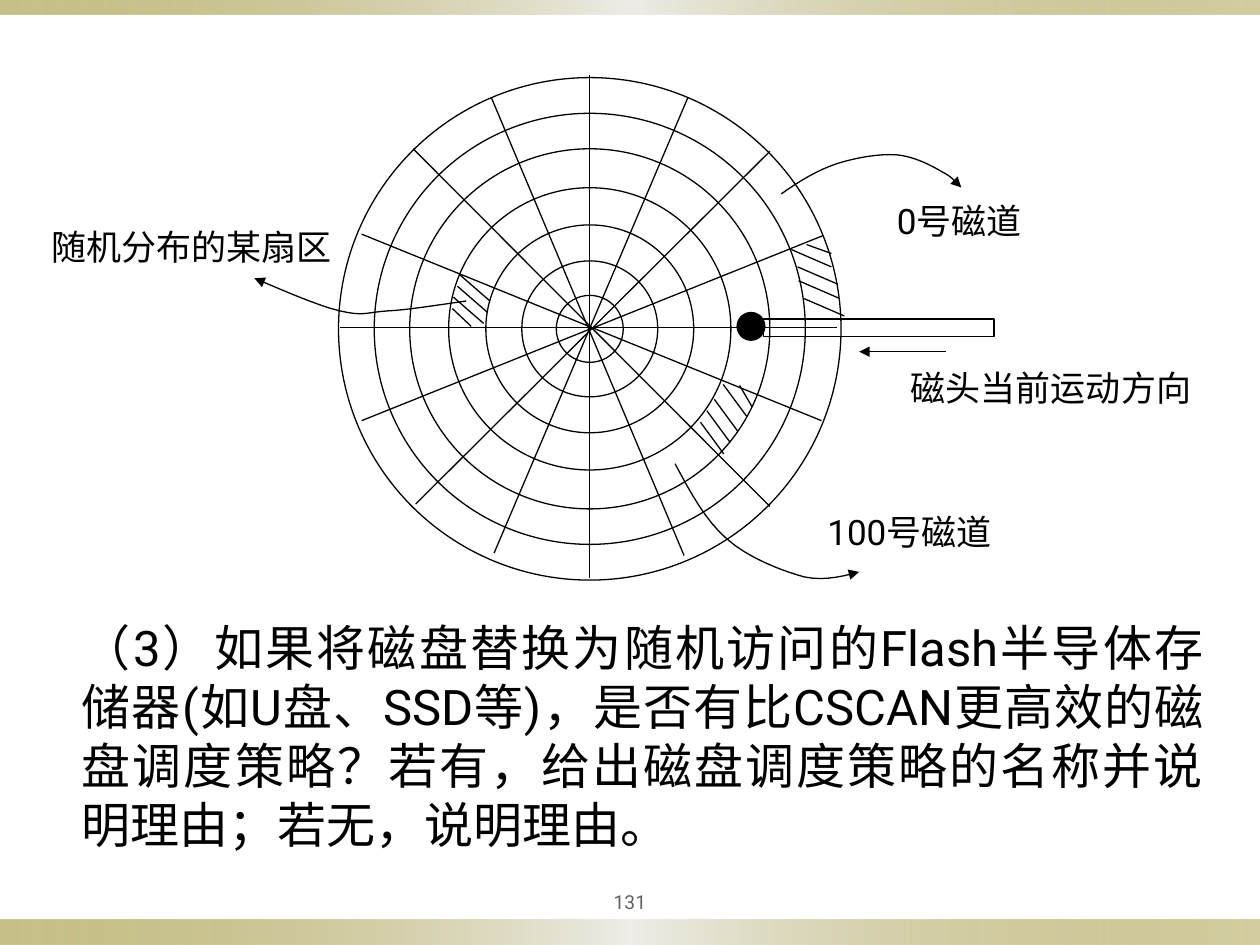
from dataclasses import dataclass

import pptx
import pptx.dml.color
import pptx.enum.shapes
import pptx.enum.text
import pptx.oxml
import pptx.oxml.ns
import pptx.util
from lxml import etree

Cm = pptx.util.Cm
Pt = pptx.util.Pt
ALIGN = pptx.enum.text.PP_ALIGN
ANCHOR = pptx.enum.text.MSO_ANCHOR
SHAPE = pptx.enum.shapes.MSO_SHAPE
qn = pptx.oxml.ns.qn


@dataclass(frozen=True)
class Theme:
    ink: str = "000000"
    paper: str = "FFFFFF"
    muted: str = "636363"
    gold: str = "918415"
    silver: str = "EEEDE8"
    latin_font: str = "Roboto"
    chinese_font: str = "Noto Sans CJK SC"
    body_size: float = 28
    label_size: float = 20
    number_size: float = 11
    line_width: float = 0.75


def rgb(value):
    return pptx.dml.color.RGBColor.from_string(value)


def bezier_points(points, steps=8):
    """Sample a chain of cubic curves: a start, then three points per curve."""
    sampled = [points[0]]
    for first in range(0, len(points) - 1, 3):
        a, b, c, d = points[first:first + 4]
        for step in range(1, steps + 1):
            t = step / steps
            u = 1 - t
            weights = (u ** 3, 3 * u * u * t, 3 * u * t * t, t ** 3)
            sampled.append(tuple(
                sum(w * point[axis] for w, point in zip(weights, (a, b, c, d)))
                for axis in (0, 1)))
    return sampled


class SlideDrawer:
    """Holds the theme and the current slide; lengths are centimetres."""

    def __init__(self, slide, theme):
        self.slide = slide
        self.theme = theme

    def style_line(self, line, arrow=False):
        line.color.rgb = rgb(self.theme.ink)
        line.width = Pt(self.theme.line_width)
        if arrow:
            properties = line.fill._xPr
            etree.SubElement(properties, qn("a:tailEnd"), type="triangle")

    def shape(self, kind, left, top, width, height, fill=None):
        shape = self.slide.shapes.add_shape(
            kind, Cm(left), Cm(top), Cm(width), Cm(height))
        shape.shadow.inherit = False
        if fill:
            shape.fill.solid()
            shape.fill.fore_color.rgb = rgb(fill)
        else:
            shape.fill.background()
        self.style_line(shape.line)
        return shape

    def circle(self, centre, diameter, fill=None):
        x, y = centre
        self.shape(SHAPE.OVAL, x - diameter / 2, y - diameter / 2,
                   diameter, diameter, fill)

    def band(self, top, height):
        """Draw a full-width bar fading from gold to silver and back."""
        shape = self.shape(SHAPE.RECTANGLE, 0, top, 25.4, height)
        shape.line.fill.background()
        stops = ((0, self.theme.gold, 50), (50, self.theme.silver, 100),
                 (100, self.theme.gold, 40))
        gradient = etree.Element(qn("a:gradFill"), rotWithShape="1")
        stop_list = etree.SubElement(gradient, qn("a:gsLst"))
        for position, color, opacity in stops:
            stop = etree.SubElement(stop_list, qn("a:gs"), pos=str(position * 1000))
            tint = etree.SubElement(stop, qn("a:srgbClr"), val=color)
            etree.SubElement(tint, qn("a:alpha"), val=str(opacity * 1000))
        etree.SubElement(gradient, qn("a:lin"), ang="0", scaled="0")
        properties = shape._element.spPr
        properties.replace(properties.find(qn("a:noFill")), gradient)

    def line(self, x1, y1, x2, y2, arrow=False):
        connector = self.slide.shapes.add_connector(
            pptx.enum.shapes.MSO_CONNECTOR.STRAIGHT, Cm(x1), Cm(y1), Cm(x2), Cm(y2))
        self.style_line(connector.line, arrow)
        etree.SubElement(connector._element.spPr, qn("a:effectLst"))

    def hatch(self, starts, run, rise, short_stroke):
        for x, y in starts:
            self.line(x, y, x + run, y + rise)
        self.line(*short_stroke)

    def curved_arrow(self, points):
        start, *rest = [(Cm(x), Cm(y)) for x, y in bezier_points(points)]
        builder = self.slide.shapes.build_freeform(*start)
        builder.add_line_segments(rest, close=False)
        shape = builder.convert_to_shape()
        shape.shadow.inherit = False
        shape.fill.background()
        self.style_line(shape.line, arrow=True)

    def text(self, text, left, top, width, height, *, size, color=None,
             align=ALIGN.JUSTIFY, anchor=ANCHOR.MIDDLE, margins=(0.25, 0.03),
             line_spacing=None):
        box = self.slide.shapes.add_textbox(Cm(left), Cm(top), Cm(width), Cm(height))
        frame = box.text_frame
        frame.word_wrap = True
        frame.vertical_anchor = anchor
        frame.margin_left = frame.margin_right = Cm(margins[0])
        frame.margin_top = frame.margin_bottom = Cm(margins[1])
        paragraph = frame.paragraphs[0]
        paragraph.alignment = align
        if line_spacing:
            paragraph.line_spacing = Pt(line_spacing)
        run = paragraph.add_run()
        run.text = text
        run.font.size = Pt(size)
        run.font.color.rgb = rgb(color or self.theme.ink)
        run.font.name = self.theme.latin_font
        etree.SubElement(run._r.get_or_add_rPr(), qn("a:ea"),
                         typeface=self.theme.chinese_font)


RING_CENTRE = (11.89, 6.63)
RING_DIAMETERS = (1.35, 2.74, 4.19, 5.69, 7.26, 8.69, 10.13)
SPOKES = (
    (6.86, 6.6, 16.87, 6.6), (11.89, 1.52, 11.89, 11.66),
    (8.38, 10.16, 15.52, 3.05), (8.33, 3, 15.52, 10.21),
    (7.29, 4.72, 16.56, 8.48), (7.29, 8.48, 16.59, 4.75),
    (9.91, 1.98, 13.79, 11.2), (9.96, 11.15, 13.87, 1.96),
)
# Start points, run, rise, and the short stroke of each marked sector
HATCHES = (
    (((15.95, 5.03), (16.08, 5.38), (16.1, 5.66), (16.21, 6.02)),
     0.81, 0.35, (16.26, 4.93, 16.76, 5.11)),
    (((14.58, 7.75), (14.4, 8.05), (14.25, 8.28), (14.12, 8.51)),
     0.47, 0.64, (14.91, 7.77, 15.16, 8.2)),
    (((9.27, 5.54), (9.22, 5.77), (9.14, 5.99)),
     0.61, 0.53, (9.12, 6.22, 9.5, 6.58)),
)
CALLOUT_CURVES = (
    ((15.75, 3.91), (16.1, 3.66), (16.48, 3.43), (16.87, 3.3),
     (17.25, 3.18), (17.7, 3.1), (18.06, 3.12), (18.44, 3.15), (18.8, 3.35),
     (19.02, 3.48), (19.23, 3.58), (19.3, 3.73), (19.38, 3.78)),
    ((13.61, 9.35), (13.92, 9.93), (14.22, 10.49), (14.66, 10.87),
     (15.09, 11.25), (15.77, 11.51), (16.21, 11.63),
     (16.66, 11.73), (17.12, 11.58), (17.32, 11.53)),
    ((9.4, 6.07), (8.81, 6.15), (8.23, 6.25), (7.8, 6.27),
     (7.39, 6.3), (7.32, 6.38), (6.86, 6.27),
     (6.4, 6.17), (5.44, 5.74), (5.13, 5.61)),
)
LABELS = (
    ("磁头当前运动方向", 18.11, 7.32, 6.3),
    ("0号磁道", 17.83, 3.96, 3.66),
    ("随机分布的某扇区", 0.79, 4.47, 6.3),
    ("100号磁道", 16.43, 10.21, 4.09),
)
QUESTION = (
    "（3）如果将磁盘替换为随机访问的Flash半导体存储器(如U盘、SSD等)，"
    "是否有比CSCAN更高效的磁盘调度策略？若有，给出磁盘调度策略的名称并说明理由；"
    "若无，说明理由。"
)


def draw_disk(drawer):
    theme = drawer.theme
    for index, diameter in enumerate(RING_DIAMETERS):
        drawer.circle(RING_CENTRE, diameter, None if index else theme.paper)
    for spoke in SPOKES:
        drawer.line(*spoke)
    drawer.shape(SHAPE.RECTANGLE, 15.39, 6.43, 4.65, 0.36)
    drawer.circle((15.14, 6.58), 0.56, theme.ink)
    for hatch in HATCHES:
        drawer.hatch(*hatch)
    drawer.line(19.08, 7.09, 17.32, 7.09, arrow=True)
    for curve in CALLOUT_CURVES:
        drawer.curved_arrow(curve)
    for label, left, top, width in LABELS:
        drawer.text(label, left, top, width, 0.99, size=theme.label_size)


def main():
    presentation = pptx.Presentation()
    presentation.slide_width, presentation.slide_height = Cm(25.4), Cm(19.05)
    slide = presentation.slides.add_slide(presentation.slide_layouts[6])
    theme = Theme()
    drawer = SlideDrawer(slide, theme)
    drawer.band(18.54, 0.51)
    drawer.band(0, 0.3)
    drawer.text("131", 11.43, 17.78, 2.54, 0.79, size=theme.number_size,
                color=theme.muted, align=ALIGN.CENTER, margins=(0.13, 0.13))
    draw_disk(drawer)
    drawer.text(QUESTION, 1.4, 12.32, 23.11, 5, size=theme.body_size,
                anchor=ANCHOR.TOP, margins=(0.25, 0.13), line_spacing=33.7)
    presentation.save("out.pptx")


if __name__ == "__main__":
    main()
